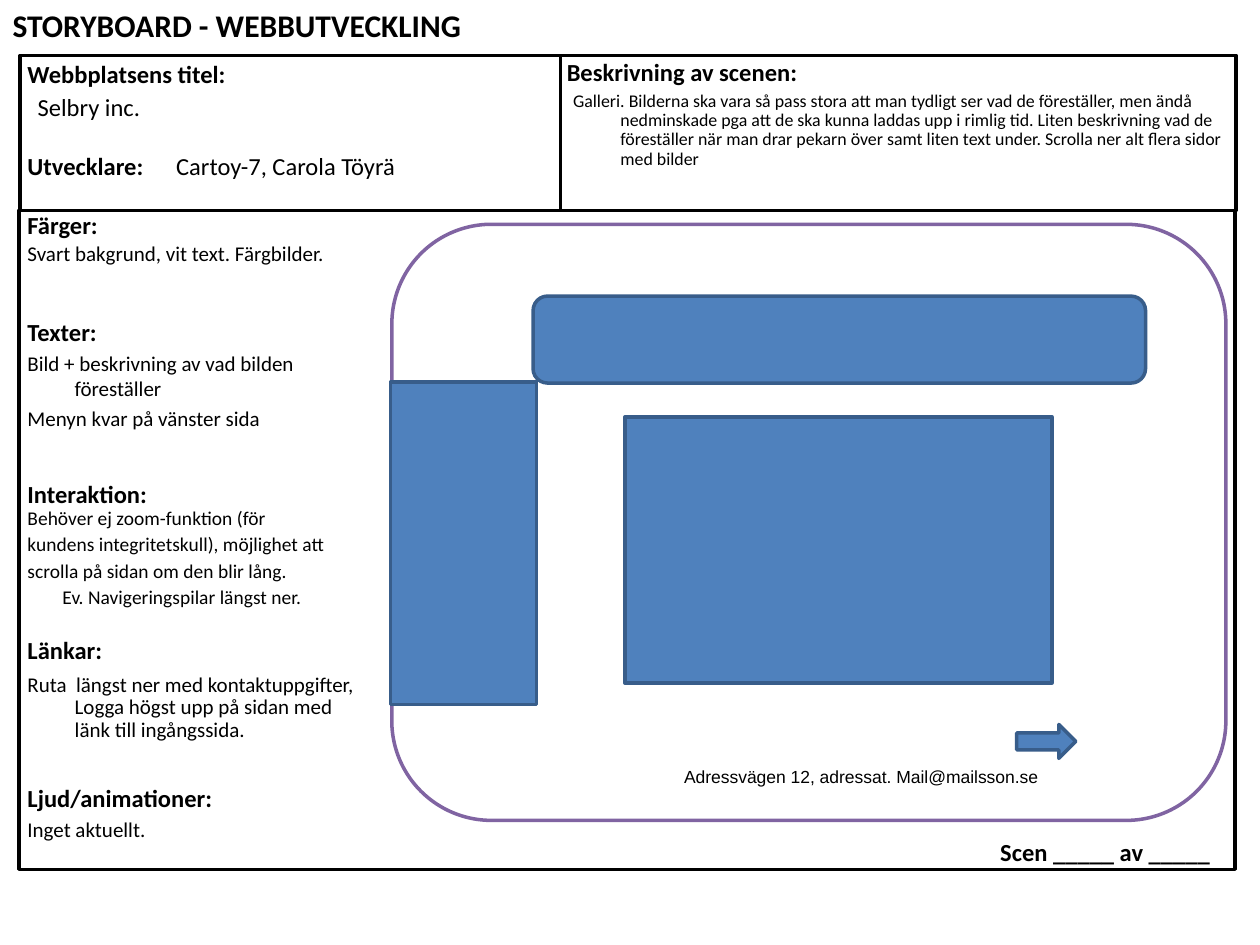
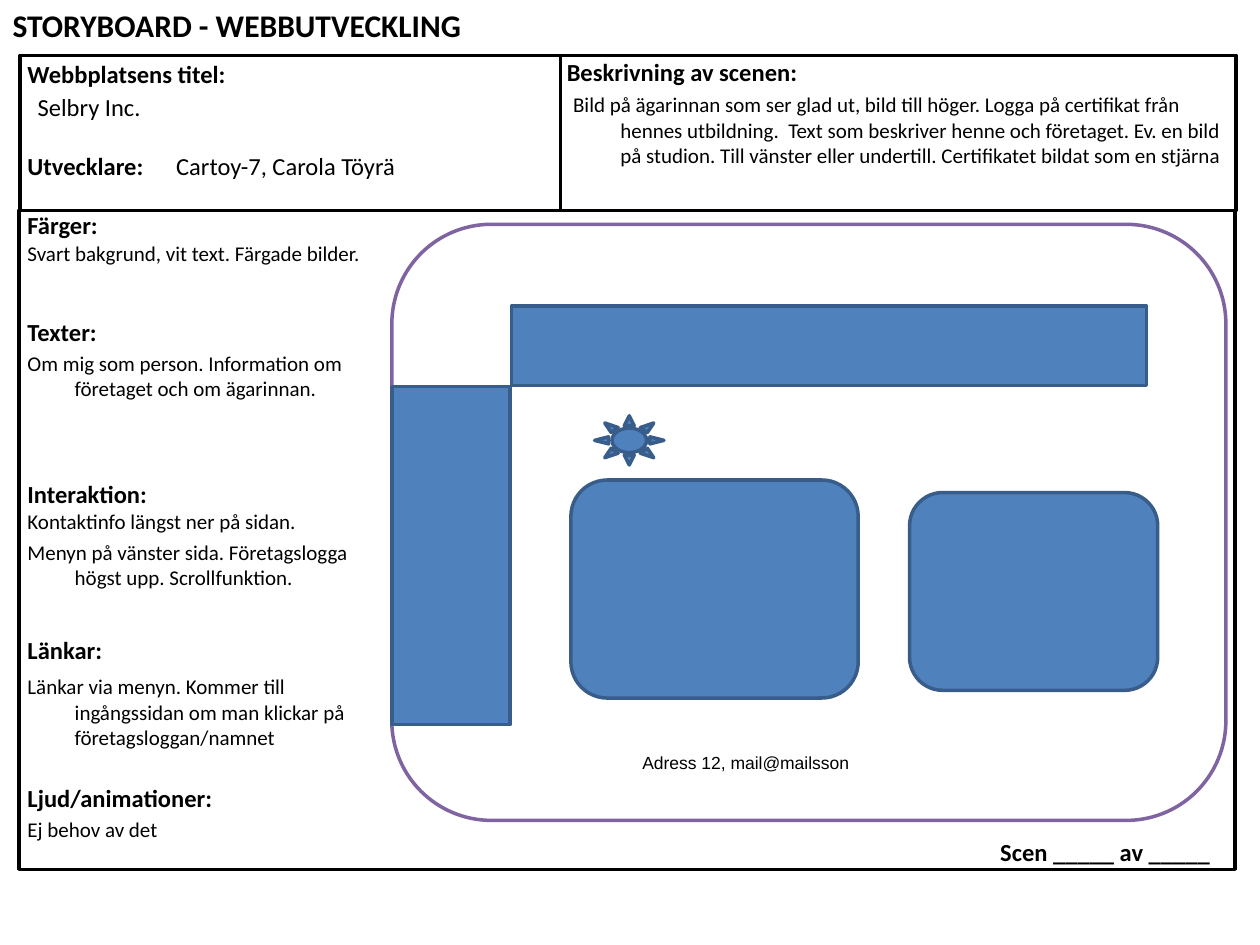
from dataclasses import dataclass

from pptx import Presentation
from pptx import util as u
from pptx.dml.color import RGBColor
from pptx.enum import shapes, text

Pt = u.Pt
Kind = shapes.MSO_SHAPE


# Colours, fonts and type sizes
@dataclass(frozen=True)
class Theme:
    ink: str = "000000"
    paper: str = "FFFFFF"
    blue: str = "4F81BD"
    navy: str = "385D8A"
    purple: str = "8064A2"
    font: str = "Calibri"
    plain: str = "Arial"
    title: float = 18
    label: float = 14
    body: float = 12
    small: float = 10
    rule: float = 2
    hang: float = 27


T = Theme()

# Left column: label, label top, body top, body height
SIDE = [
    ("Färger:", 116.6, 133.9, 45.4),
    ("Texter:", 177.8, 196.6, 73.4),
    ("Interaktion:", 270, 287.3, 73.4),
    ("Länkar:", 359.3, 381.6, 64),
    ("Ljud/animationer:", 444.2, 463, 33.8),
]
LEFT = 8.6


def put(obj, fmt):
    for key, val in fmt.items():
        setattr(obj, key, val)


def write(shape, lines, size, bold=False, font=T.font, hang=0, gap=0, lead=None):
    """Fill a text shape; a line may be (text, left indent)."""
    frame = shape.text_frame
    put(frame, {"word_wrap": True, "auto_size": text.MSO_AUTO_SIZE.NONE,
                "vertical_anchor": text.MSO_ANCHOR.TOP,
                "margin_left": Pt(7.2), "margin_right": Pt(7.2),
                "margin_top": Pt(3.6), "margin_bottom": Pt(3.6)})
    for i, line in enumerate(lines):
        para = frame.paragraphs[0] if i == 0 else frame.add_paragraph()
        words, left, first = (line, hang, -hang) if isinstance(line, str) else (*line, 0)
        props = para._p.get_or_add_pPr()
        props.set("marL", str(Pt(left)))
        props.set("indent", str(Pt(first)))
        put(para, {"text": words, "alignment": text.PP_ALIGN.LEFT,
                   "space_before": Pt(gap if i else 0), "line_spacing": lead})
        for run in para.runs:
            put(run.font, {"name": font, "size": Pt(size), "bold": bold})
            run.font.color.rgb = RGBColor.from_string(T.ink)


def note(slide, box, lines, size=T.body, **fmt):
    write(slide.shapes.add_textbox(*map(Pt, box)), lines, size, **fmt)


def label(slide, box, words):
    note(slide, box, [words], T.label, bold=True)


def body(slide, box, lines, size=T.body, lead=None):
    note(slide, box, lines, size, hang=T.hang, gap=3, lead=lead)


def block(slide, kind, box, fill=T.blue, line=T.navy):
    shape = slide.shapes.add_shape(kind, *map(Pt, box))
    shape.shadow.inherit = False
    shape.fill.solid()
    shape.fill.fore_color.rgb = RGBColor.from_string(fill)
    shape.line.color.rgb = RGBColor.from_string(line)
    shape.line.width = Pt(T.rule)
    if kind == Kind.ROUNDED_RECTANGLE:
        shape.adjustments[0] = 0.167


def board(deck):
    """Add a slide with the form that every scene shares."""
    slide = deck.slides.add_slide(deck.slide_layouts[5])
    head = slide.shapes.title
    put(head, dict(zip(("left", "top", "width", "height"), map(Pt, (0, 0, 326, 29)))))
    write(head, ["STORYBOARD - WEBBUTVECKLING"], T.title, bold=True)

    # Form cells and screen outline
    for box in ((11.5, 31.7, 308.9, 88.6), (320.4, 31.7, 386, 88.6),
                (10.8, 120.2, 694.8, 376.6)):
        block(slide, Kind.RECTANGLE, box, T.paper, T.ink)
    block(slide, Kind.ROUNDED_RECTANGLE, (223.9, 128.2, 476.6, 340.6), T.paper, T.purple)

    # Labels
    label(slide, (LEFT, 30.2, 176, 24.5), "Webbplatsens titel:")
    label(slide, (LEFT, 82.8, 92, 41), "Utvecklare:")
    label(slide, (316.8, 28.8, 199, 24.5), "Beskrivning av scenen:")
    for words, top, *_ in SIDE:
        label(slide, (LEFT, top, 176, 24.5), words)
    label(slide, (564.5, 474.5, 138, 24.5), "Scen _____ av _____")
    return slide


def scene(deck, site, about, parts, draw, foot, spot):
    """about and parts hold (lines, format) pairs; draw holds (kind, box)."""
    slide = board(deck)
    note(slide, (14.4, 49, 300, 28), [site], T.label)
    note(slide, (93.6, 82.8, 221, 28), ["Cartoy-7, Carola Töyrä"], T.label)
    lines, fmt = about
    body(slide, (320.4, 49, 386, 67.7), lines, **fmt)
    for (_, _, top, high), (lines, fmt) in zip(SIDE, parts):
        body(slide, (LEFT, top, 209.5, high), lines, **fmt)
    for kind, box in draw:
        block(slide, kind, box)
    note(slide, spot, [foot], T.small, font=T.plain)


def main():
    deck = Presentation()
    put(deck, {"slide_width": Pt(720), "slide_height": Pt(540)})

    # Gallery scene
    scene(
        deck, "Selbry inc.",
        (["Galleri. Bilderna ska vara så pass stora att man tydligt ser vad de "
          "föreställer, men ändå nedminskade pga att de ska kunna laddas upp i "
          "rimlig tid. Liten beskrivning vad de föreställer när man drar pekarn "
          "över samt liten text under. Scrolla ner alt flera sidor med bilder"],
         {"size": 10.2, "lead": 0.9}),
        [(["Svart bakgrund, vit text. Färgbilder."], {}),
         (["Bild + beskrivning av vad bilden föreställer",
           "Menyn kvar på vänster sida"], {}),
         (["Behöver ej zoom-funktion (för",
           "kundens integritetskull), möjlighet att",
           "scrolla på sidan om den blir lång.",
           ("Ev. Navigeringspilar längst ner.", 20)], {"size": 11.1, "lead": 0.9}),
         (["Ruta  längst ner med kontaktuppgifter, Logga högst upp på sidan "
           "med länk till ingångssida."], {"lead": 0.9}),
         (["Inget aktuellt."], {})],
        [(Kind.ROUNDED_RECTANGLE, (304.6, 169.2, 350, 49.7)),
         (Kind.FLOWCHART_PROCESS, (357.1, 238.3, 244, 152)),
         (Kind.RECTANGLE, (223.2, 218.2, 83.5, 184.3)),
         (Kind.RIGHT_ARROW, (581, 414, 33.8, 19.4))],
        "Adressvägen 12, adressat. Mail@mailsson.se", (383.8, 434.2, 224, 19.4))

    # About scene
    scene(
        deck, "Selbry Inc.",
        (["Bild på ägarinnan som ser glad ut, bild till höger. Logga på "
          "certifikat från hennes utbildning.  Text som beskriver henne och "
          "företaget. Ev. en bild på studion. Till vänster eller undertill. "
          "Certifikatet bildat som en stjärna"], {}),
        [(["Svart bakgrund, vit text. Färgade bilder."], {}),
         (["Om mig som person. Information om företaget och om ägarinnan."], {}),
         (["Kontaktinfo längst ner på sidan.",
           "Menyn på vänster sida. Företagslogga högst upp. Scrollfunktion."], {}),
         (["Länkar via menyn. Kommer till ingångssidan om man klickar på "
           "företagsloggan/namnet"], {}),
         (["Ej behov av det"], {})],
        [(Kind.FLOWCHART_PROCESS, (292.3, 175, 362.9, 45.4)),
         (Kind.ROUNDED_RECTANGLE, (326.2, 274.3, 164.2, 124.6)),
         (Kind.ROUNDED_RECTANGLE, (519.8, 281.5, 141.8, 113)),
         (Kind.FLOWCHART_PROCESS, (223.9, 221, 67.7, 193)),
         (Kind.SUN, (339.8, 237.6, 39.6, 28.1))],
        "Adress 12, mail@mailsson", (360, 426.2, 187.2, 19.4))

    deck.save("out.pptx")


if __name__ == "__main__":
    main()
